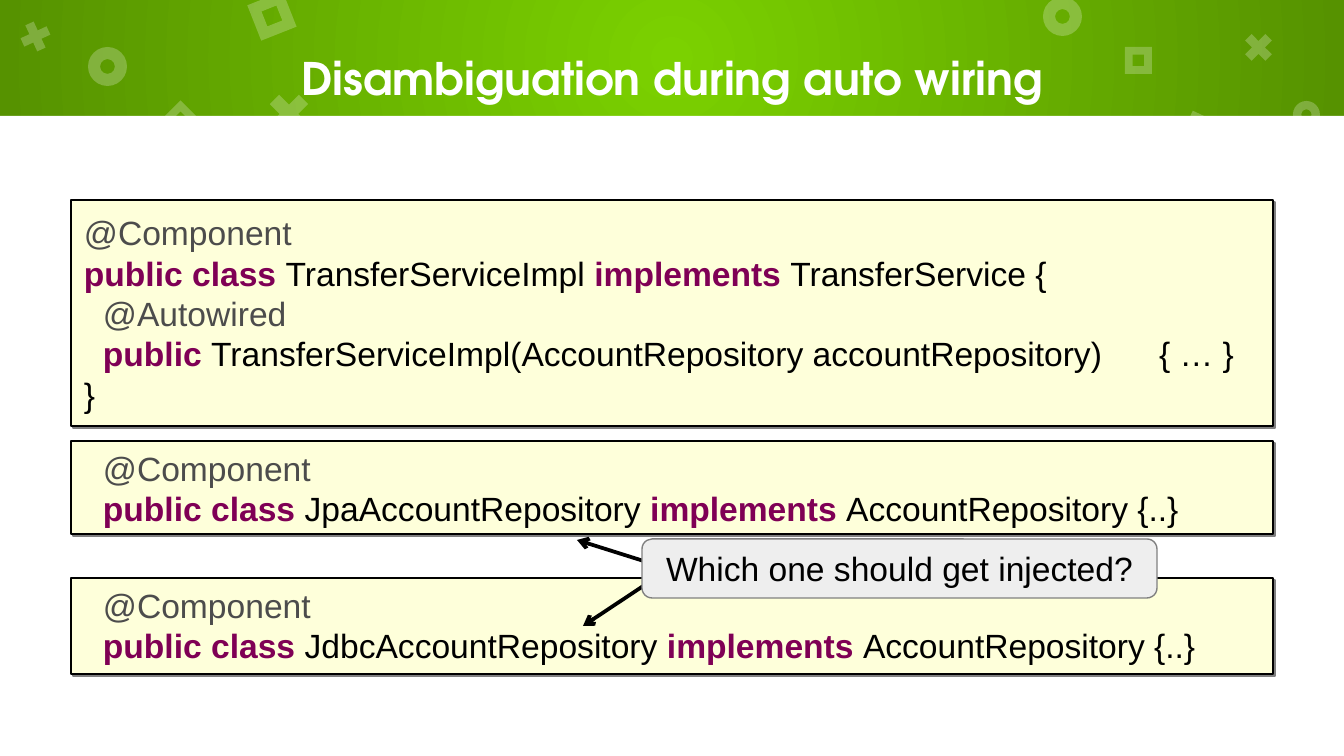
from lxml import etree
from pptx import Presentation
from pptx.dml.color import RGBColor
from pptx.enum.shapes import MSO_CONNECTOR, MSO_SHAPE
from pptx.enum.text import MSO_ANCHOR, PP_ALIGN
from pptx.oxml.ns import qn
from pptx.util import Pt

EMU_PER_PX = 914400 / 134.4
RECTANGLE = MSO_SHAPE.RECTANGLE
DONUT, CROSS, FRAME = MSO_SHAPE.DONUT, MSO_SHAPE.MATH_MULTIPLY, MSO_SHAPE.FRAME
MIDDLE, TOP = MSO_ANCHOR.MIDDLE, MSO_ANCHOR.TOP
COLORS = {
    "green": "7BD100", "dark green": "569200", "white": "FFFFFF",
    "code fill": "FEFFDA", "shadow": "808080", "callout fill": "EEEEEE",
    "annotation": "4C4C4C", "keyword": "7F0055", "plain": "000000",
}
COLORS = {name: RGBColor.from_string(value) for name, value in COLORS.items()}


def px(value):
    return round(value * EMU_PER_PX)


def add_box(kind, left, top, width, height, fill, line=None, line_width=0):
    shape = slide.shapes.add_shape(kind, px(left), px(top), px(width), px(height))
    shape.shadow.inherit = False
    shape.fill.solid()
    shape.fill.fore_color.rgb = COLORS[fill]
    if line:
        shape.line.color.rgb = COLORS[line]
        shape.line.width = Pt(line_width)
    else:
        shape.line.fill.background()
    frame = shape.text_frame
    frame.word_wrap = True
    frame.margin_left = frame.margin_right = px(13)
    frame.margin_top = frame.margin_bottom = px(7)
    return shape


presentation = Presentation()
presentation.slide_width, presentation.slide_height = px(1344), px(756)
slide = presentation.slides.add_slide(presentation.slide_layouts[5])
slide.background.fill.solid()
slide.background.fill.fore_color.rgb = COLORS["green"]

header = add_box(RECTANGLE, 0, 0, 1344, 116, "green")
header.fill.gradient()
for stop, name in zip(header.fill.gradient_stops, ("green", "dark green")):
    stop.color.rgb = COLORS[name]
gradient = header._element.spPr.find(qn("a:gradFill"))
gradient.remove(gradient.find(qn("a:lin")))
radial = etree.SubElement(gradient, qn("a:path"), {"path": "circle"})
etree.SubElement(radial, qn("a:fillToRect"), dict.fromkeys("ltrb", "50000"))
add_box(RECTANGLE, 0, 116, 1344, 640, "white")

ornament_thickness = {DONUT: 0.31, CROSS: 0.235, FRAME: 0.289}
ornaments = [
    (DONUT, 88, 47, 39, 0), (CROSS, 261, 86, 56, 0), (FRAME, 253, -3, 38, 338.4),
    (DONUT, 1043, -3, 39, 0), (FRAME, 1183, 117, 38, 25), (CROSS, 16, 17, 39, 20.4),
    (FRAME, 167, 106, 27, 45), (DONUT, 1293, 101, 27, 0), (CROSS, 1239, 28, 39, 0),
    (FRAME, 1125, 47, 27, 0),
]
for kind, left, top, size, rotation in ornaments:
    ornament = add_box(kind, left, top, size, size, "white")
    ornament.adjustments[0] = ornament_thickness[kind]
    ornament.rotation = rotation
    color = ornament._element.spPr.find(".//" + qn("a:srgbClr"))
    etree.SubElement(color, qn("a:alpha"), {"val": "24000"})

title = slide.shapes.title
title.left, title.top, title.width, title.height = px(128), px(0), px(1088), px(156)
title.text_frame.text = "Disambiguation during auto wiring"
title.text_frame.vertical_anchor = MIDDLE
paragraph = title.text_frame.paragraphs[0]
paragraph.alignment = PP_ALIGN.CENTER
font = paragraph.runs[0].font
font.name, font.size, font.bold = "TeX Gyre Adventor", Pt(24), True
font.color.rgb = COLORS["white"]
slide.shapes._spTree.append(title._element)

code_blocks = [
    (200, 226, MIDDLE, [
        (0, [("@Component", "annotation")]),
        (0, [("public class ", "keyword"), ("TransferServiceImpl ", "plain"),
             ("implements ", "keyword"), ("TransferService {", "plain")]),
        (19, [("@Autowired", "annotation")]),
        (19, [("public ", "keyword"),
              ("TransferServiceImpl(AccountRepository accountRepository)\t{ … }", "plain")]),
        (0, [("}", "plain")]),
    ]),
]
for top, height, prefix in ((441, 93, "Jpa"), (578, 96, "Jdbc")):
    code_blocks.append((top, height, TOP, [
        (19, [("@Component", "annotation")]),
        (19, [("public class ", "keyword"), (prefix + "AccountRepository ", "plain"),
              ("implements ", "keyword"), ("AccountRepository {..}", "plain")]),
    ]))

for top, height, anchor, lines in code_blocks:
    block = add_box(RECTANGLE, 71, top, 1202, height, "code fill", "plain", 1)
    effects = block._element.spPr.find(qn("a:effectLst"))
    shadow = etree.SubElement(effects, qn("a:outerShdw"), {
        "blurRad": "0", "dist": str(Pt(1.4)), "dir": "2700000", "rotWithShape": "0"})
    etree.SubElement(shadow, qn("a:srgbClr"), {"val": str(COLORS["shadow"])})
    frame = block.text_frame
    frame.vertical_anchor = anchor
    for number, (indent, pieces) in enumerate(lines):
        paragraph = frame.add_paragraph() if number else frame.paragraphs[0]
        paragraph.alignment = PP_ALIGN.LEFT
        properties = paragraph._p.get_or_add_pPr()
        properties.set("marL", "0")
        properties.set("indent", str(px(indent)))
        if "\t" in pieces[-1][0]:
            tabs = etree.SubElement(properties, qn("a:tabLst"))
            etree.SubElement(tabs, qn("a:tab"), {"pos": str(px(1045)), "algn": "l"})
        for text, role in pieces:
            run = paragraph.add_run()
            run.text = text
            run.font.name, run.font.size = "Arial", Pt(18)
            run.font.bold = role == "keyword"
            run.font.color.rgb = COLORS[role]

for end_x, end_y in ((577, 540), (583, 626)):
    arrow = slide.shapes.add_connector(
        MSO_CONNECTOR.STRAIGHT, px(669), px(569), px(end_x), px(end_y))
    arrow.line.color.rgb = COLORS["plain"]
    arrow.line.width = Pt(0)
    etree.SubElement(arrow.line._get_or_add_ln(), qn("a:tailEnd"), {"type": "arrow"})
    etree.SubElement(arrow._element.spPr, qn("a:effectLst"))

callout = add_box(MSO_SHAPE.ROUNDED_RECTANGLE, 642, 539, 515, 59, "callout fill", "shadow")
callout.adjustments[0] = 0.17
callout.text_frame.text = "Which one should get injected?"
callout.text_frame.vertical_anchor = MIDDLE
paragraph = callout.text_frame.paragraphs[0]
paragraph.alignment = PP_ALIGN.CENTER
font = paragraph.runs[0].font
font.name, font.size = "Arial", Pt(18)
font.color.rgb = COLORS["plain"]

presentation.save("out.pptx")
